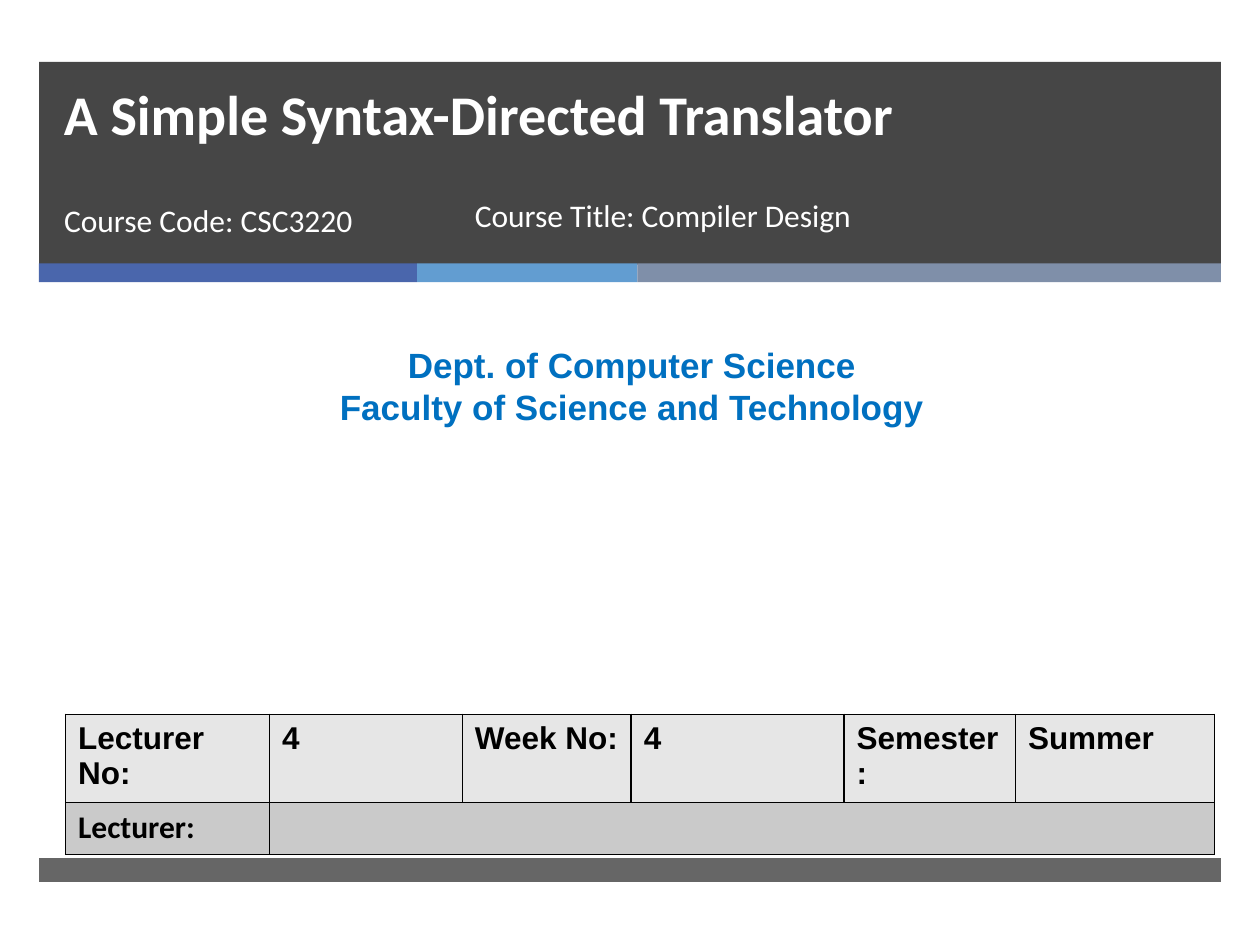
from lxml import etree
from pptx import Presentation
from pptx.dml.color import RGBColor
from pptx.enum.shapes import MSO_SHAPE
from pptx.enum.text import MSO_ANCHOR, PP_ALIGN
from pptx.oxml.ns import qn
from pptx.util import Inches, Pt

RECT = MSO_SHAPE.RECTANGLE
TOP, BOTTOM = MSO_ANCHOR.TOP, MSO_ANCHOR.BOTTOM
LEFT, CENTER = PP_ALIGN.LEFT, PP_ALIGN.CENTER

BLACK = RGBColor(0x00, 0x00, 0x00)
WHITE = RGBColor(0xFF, 0xFF, 0xFF)
CHARCOAL = RGBColor(0x26, 0x26, 0x26)
INDIGO = RGBColor(0x4A, 0x66, 0xAC)
SKY = RGBColor(0x62, 0x9D, 0xD1)
SLATE = RGBColor(0x7F, 0x8F, 0xA9)
BLUE = RGBColor(0x00, 0x70, 0xC0)
LIGHT_ROW = RGBColor(0xE6, 0xE6, 0xE6)
DARK_ROW = RGBColor(0xCA, 0xCA, 0xCA)


class Deck:
    heading_font = "Calibri"
    body_font = "Arial"

    def __init__(self):
        self.prs = Presentation()
        self.prs.slide_width = Inches(10)
        self.prs.slide_height = Inches(7.5)
        self.s = self.prs.slides.add_slide(self.prs.slide_layouts[6])

    def style(self, p, font, size, color, bold):
        p.font.name = font
        p.font.size = Pt(size)
        p.font.color.rgb = color
        p.font.bold = bold

    def bar(self, x, y, w, h, color, opacity=100):
        sp = self.s.shapes.add_shape(RECT, Inches(x), Inches(y), Inches(w), Inches(h))
        sp.shadow.inherit = False
        sp.line.fill.background()
        sp.fill.solid()
        sp.fill.fore_color.rgb = color
        if opacity < 100:
            clr = sp._element.spPr.find(qn("a:solidFill")).find(qn("a:srgbClr"))
            etree.SubElement(clr, qn("a:alpha"), val=str(opacity * 1000))

    def text(self, x, y, w, h, lines, size, color=WHITE, font=heading_font,
             bold=False, align=LEFT, anchor=TOP, spacing=None):
        tf = self.s.shapes.add_textbox(Inches(x), Inches(y), Inches(w), Inches(h)).text_frame
        tf.word_wrap = True
        tf.vertical_anchor = anchor
        tf.text = "\n".join(lines)
        for p in tf.paragraphs:
            p.alignment = align
            p.line_spacing = spacing
            self.style(p, font, size, color, bold)

    def border(self, cell):
        tc_pr = cell._tc.get_or_add_tcPr()
        for i, side in enumerate(("lnL", "lnR", "lnT", "lnB")):
            ln = etree.Element(qn(f"a:{side}"), w=str(Pt(1)))
            fill = etree.SubElement(ln, qn("a:solidFill"))
            etree.SubElement(fill, qn("a:srgbClr"), val=str(BLACK))
            tc_pr.insert(i, ln)

    def table(self, x, y, widths, row_h, rows, fills, fonts):
        shape = self.s.shapes.add_table(len(rows), len(widths), Inches(x), Inches(y),
                                        Inches(sum(widths)), Inches(row_h * len(rows)))
        table = shape.table
        for column, w in zip(table.columns, widths):
            column.width = Inches(w)
        for r, (values, fill, font) in enumerate(zip(rows, fills, fonts)):
            table.rows[r].height = Inches(row_h)
            for c in range(len(widths)):
                cell = table.cell(r, c)
                cell.fill.solid()
                cell.fill.fore_color.rgb = fill
                cell.text = values[c] if c < len(values) else ""
                self.style(cell.text_frame.paragraphs[0], font, 18, BLACK, True)
                self.border(cell)
        return table


def main():
    deck = Deck()
    left, width = 0.31, 9.38
    deck.bar(left, 0.49, width, 1.61, CHARCOAL, 85)
    x = left
    for w, color in ((3, INDIGO), (1.75, SKY), (4.63, SLATE)):
        deck.bar(x, 2.09, w, 0.15, color)
        x += w
    deck.bar(left, 6.81, width, 0.19, CHARCOAL, 70)

    deck.text(0.08, 2.68, 9.87, 0.77,
              ["Dept. of Computer Science", "Faculty of Science and Technology"],
              20, BLUE, deck.body_font, bold=True, align=CENTER)
    table = deck.table(
        0.52, 5.67, [1.62, 1.53, 1.34, 1.69, 1.36, 1.58], 0.41,
        [["Lecturer No:", "4", "Week No:", "4", "Semester:", "Summer"], ["Lecturer:"]],
        [LIGHT_ROW, DARK_ROW], [deck.body_font, deck.heading_font])
    table.cell(1, 1).merge(table.cell(1, 5))

    deck.text(0.41, 1.55, 3.05, 0.53, ["Course Code: CSC3220"], 18)
    deck.text(3.67, 1.51, 4.55, 0.53, ["Course Title: Compiler Design"], 18)
    deck.text(0.41, 0.02, 8.54, 1.19, ["A Simple Syntax-Directed Translator"],
              32, bold=True, anchor=BOTTOM, spacing=1.44)
    deck.prs.save("out.pptx")


if __name__ == "__main__":
    main()
